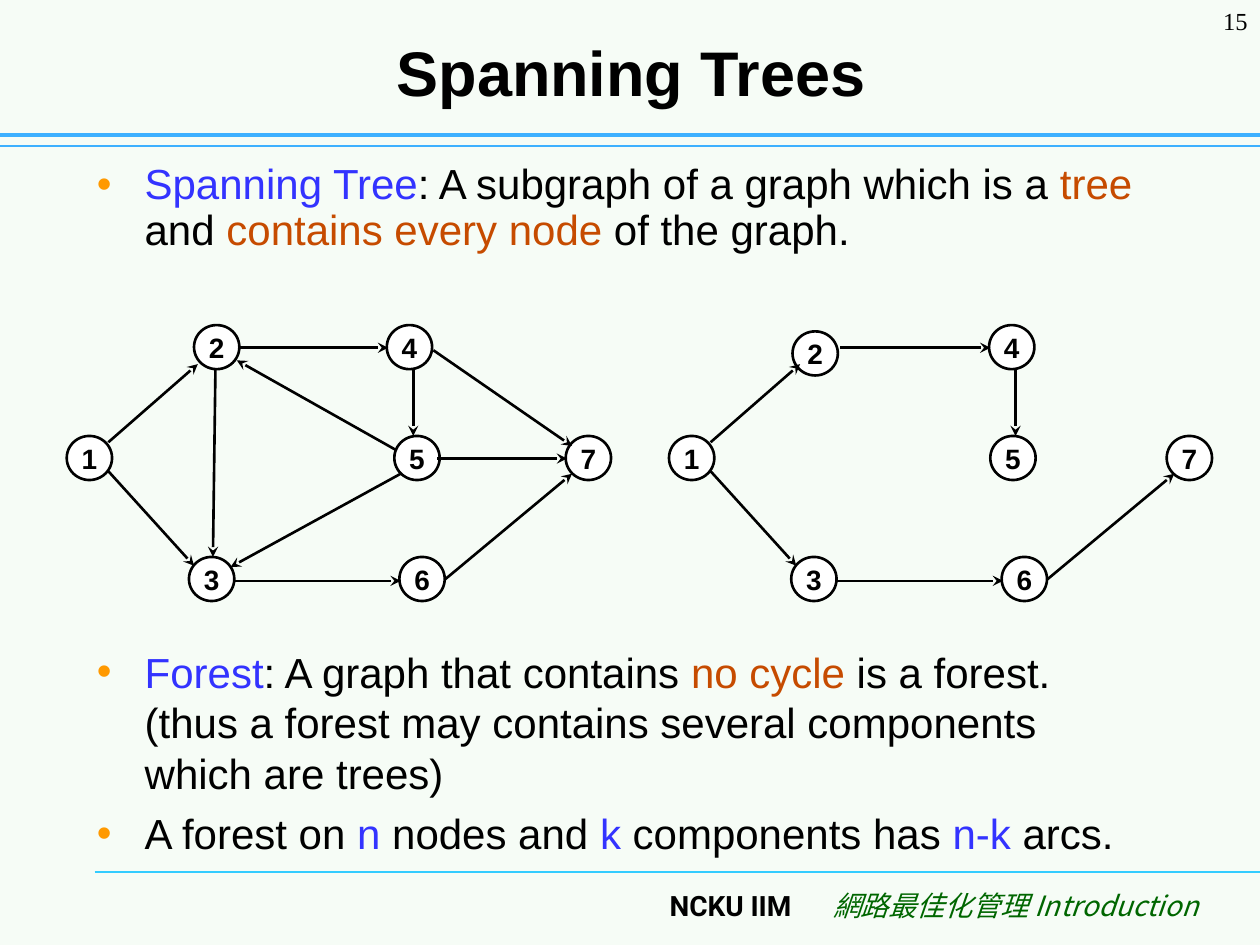
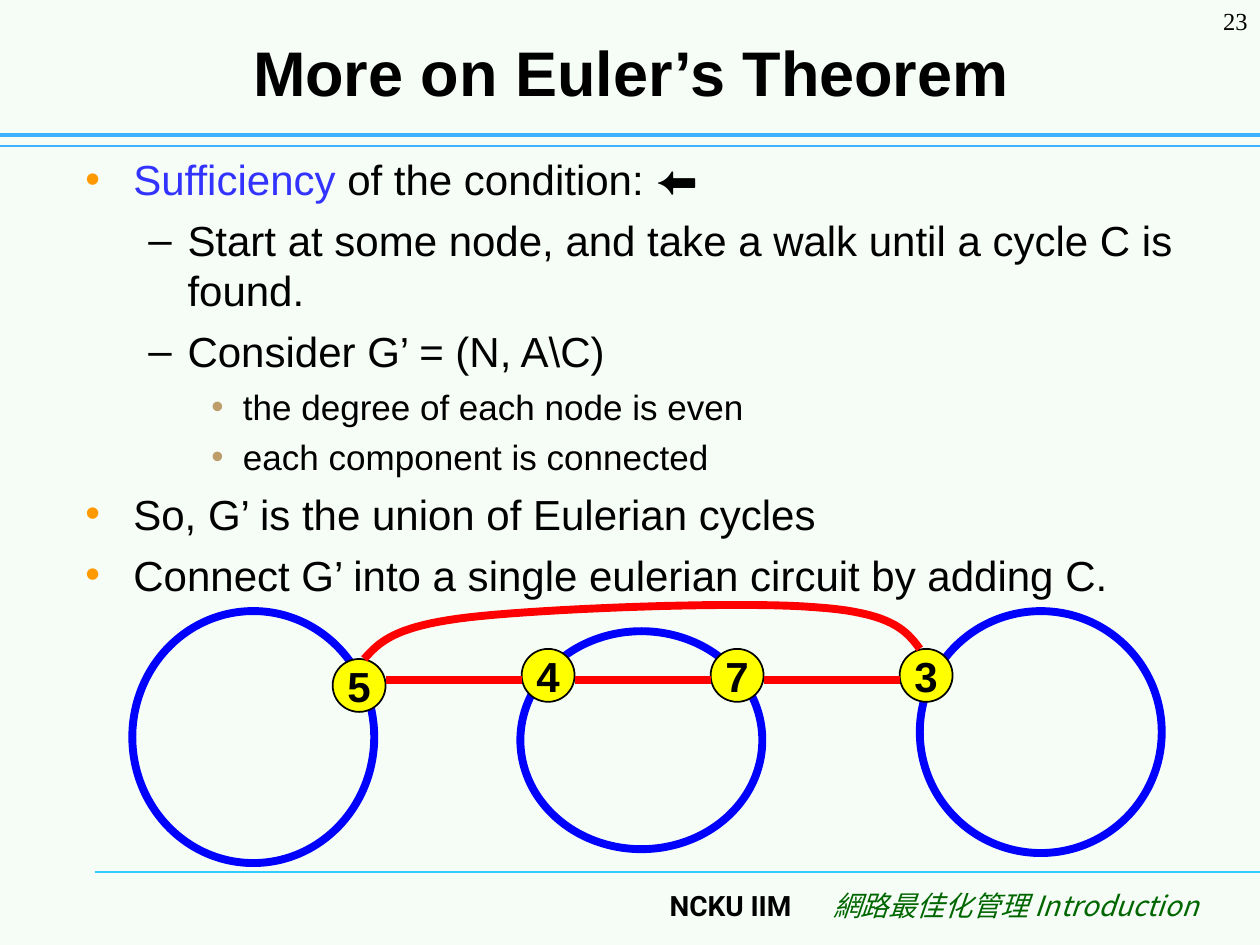
from dataclasses import dataclass, replace

from lxml.etree import SubElement
from pptx import Presentation
from pptx.dml.color import RGBColor
from pptx.enum.shapes import MSO_CONNECTOR, MSO_SHAPE
from pptx.enum.text import MSO_ANCHOR, MSO_AUTO_SIZE, PP_ALIGN
from pptx.oxml.ns import qn
from pptx.util import Inches, Pt


@dataclass(frozen=True)
class Style:
    """Type settings of one kind of text."""

    size: int
    colour: str = "000000"
    font: str = "Arial"
    bold: bool = False
    italic: bool = False


@dataclass(frozen=True)
class Level:
    """Bullet, indents and spacing of one outline level."""

    bullet: str
    bullet_colour: str
    left: float
    hanging: float
    space_before: int
    style: Style


class Theme:
    """Colours, type sizes and line widths of the deck."""

    background = "F6FCF6"
    ink = "000000"
    term = "3333FF"
    emphasis = "C64B00"
    band = "3DB0FF"
    footer_rule = "33CCFF"
    node = "FFFFFF"
    shared_node = "FFFF00"
    cycle = "0000FF"
    joining_cycle = "FF0000"
    thin, band_width, arc_width, cycle_width = 0.75, 2.5, 1.5, 4.5
    title = Style(36, bold=True)
    page_number = Style(14, font="Times New Roman")
    school = Style(16, font="Roboto", bold=True)
    course = Style(16, "006600", "Noto Sans CJK SC", italic=True)
    node_label = Style(16, bold=True)
    shared_label = Style(24, bold=True)
    levels = (
        Level("•", "FF9900", 0.38, 0.38, 6, Style(24)),
        Level("–", "000000", 0.81, 0.31, 6, Style(24)),
        Level("•", "BD9D69", 1.25, 0.25, 5, Style(20)),
    )


NODE_SIZE = (0.36, 0.35)
GRAPH_NODES = {
    1: (0.53, 3.46), 2: (1.54, 2.58), 3: (1.5, 4.42), 4: (3.07, 2.58),
    5: (3.13, 3.46), 6: (3.17, 4.42), 7: (4.49, 3.46),
}
GRAPH_ARCS = {
    (1, 2): (0.86, 3.51, 1.57, 2.89),
    (1, 3): (0.86, 3.74, 1.54, 4.49),
    (2, 3): (1.71, 2.93, 1.69, 4.42),
    (2, 4): (1.89, 2.76, 3.08, 2.76),
    (3, 6): (1.86, 4.61, 3.18, 4.61),
    (6, 7): (3.53, 4.6, 4.54, 3.76),
    (5, 7): (3.47, 3.64, 4.5, 3.64),
    (4, 7): (3.44, 2.78, 4.54, 3.54),
    (4, 5): (3.28, 2.93, 3.28, 3.46),
    (5, 2): (3.14, 3.57, 1.88, 2.86),
    (5, 3): (3.18, 3.76, 1.83, 4.5),
}
TREE_SHIFT = 4.78
TREE_ARCS = [(1, 2), (1, 3), (2, 4), (3, 6), (6, 7), (4, 5)]
TREE_NODES = {
    **{node: (x + TREE_SHIFT, y) for node, (x, y) in GRAPH_NODES.items()},
    2: (6.29, 2.63), 5: (7.86, 3.46), 7: (9.26, 3.46),
}

CYCLES = [(1.05, 4.85, 1.92, 2), (4.13, 5.01, 1.92, 1.73), (7.3, 4.85, 1.92, 1.92)]
SHARED_NODES = [("5", 5.23), ("4", 5.15), ("7", 5.15), ("3", 5.15)]
SHARED_SIZE, SHARED_LEFT, SHARED_PITCH, JOIN_Y = 0.42, 2.64, 1.5, 5.4
RETURN_START = (2.89, 5.23)
RETURN_CURVES = [
    ((3.01, 5.1), (3.12, 4.97), (3.72, 4.9)),
    ((4.32, 4.83), (5.87, 4.77), (6.47, 4.82)),
    ((7.07, 4.86), (7.19, 5), (7.3, 5.15)),
]


def inches(values):
    """Turn numbers into lengths."""
    return [Inches(value) for value in values]


def rgb(colour):
    """Turn a hex string into a colour."""
    return RGBColor.from_string(colour)


def style_run(run, style):
    """Apply a style to one run."""
    font = run.font
    font.size, font.bold, font.italic = Pt(style.size), style.bold, style.italic
    font.color.rgb = rgb(style.colour)
    font.name = style.font
    SubElement(font._element, qn("a:ea")).set("typeface", style.font)


def set_text(frame, text, style, align):
    """Fill a frame with one styled paragraph."""
    frame.text = text
    paragraph = frame.paragraphs[0]
    paragraph.alignment = align
    style_run(paragraph.runs[0], style)


def add_label(slide, box, text, style):
    """Add a right-aligned line of text."""
    frame = slide.shapes.add_textbox(*inches(box)).text_frame
    frame.word_wrap = True
    set_text(frame, text, style, PP_ALIGN.RIGHT)


def set_bullet(paragraph, level):
    """Give a paragraph the bullet and indents of its level."""
    properties = paragraph._p.get_or_add_pPr()
    properties.set("marL", str(Inches(level.left)))
    properties.set("indent", str(-Inches(level.hanging)))
    colour = SubElement(properties, qn("a:buClr"))
    SubElement(colour, qn("a:srgbClr")).set("val", level.bullet_colour)
    SubElement(properties, qn("a:buFont")).set("typeface", level.style.font)
    SubElement(properties, qn("a:buChar")).set("char", level.bullet)


def add_outline(slide, box, items, line_spacing=1.0):
    """Add bulleted text; each item is a level and its coloured parts."""
    frame = slide.shapes.add_textbox(*inches(box)).text_frame
    frame.word_wrap = True
    for index, (depth, *parts) in enumerate(items):
        paragraph = frame.add_paragraph() if index else frame.paragraphs[0]
        level = Theme.levels[depth]
        set_bullet(paragraph, level)
        paragraph.level = depth
        paragraph.line_spacing = line_spacing
        paragraph.space_before = Pt(level.space_before if index else 0)
        for text, colour in parts:
            if text == "\n":
                paragraph.add_line_break()
                continue
            run = paragraph.add_run()
            run.text = text
            style_run(run, replace(level.style, colour=colour))


def add_line(slide, ends, colour, width, arrow=False):
    """Add a straight line, with an arrowhead at its end if asked."""
    line = slide.shapes.add_connector(MSO_CONNECTOR.STRAIGHT, *inches(ends))
    line.line.color.rgb = rgb(colour)
    line.line.width = Pt(width)
    properties = line._element.spPr
    if arrow:
        SubElement(properties.find(qn("a:ln")), qn("a:tailEnd")).set("type", "stealth")
    SubElement(properties, qn("a:effectLst"))


def set_outline(shape, colour, width, fill=None):
    """Set the line and the fill of a shape without a shadow."""
    shape.shadow.inherit = False
    shape.line.color.rgb = rgb(colour)
    shape.line.width = Pt(width)
    if fill:
        shape.fill.solid()
        shape.fill.fore_color.rgb = rgb(fill)
    else:
        shape.fill.background()


def add_ellipse(slide, box, colour, width, fill=None):
    """Add an ellipse."""
    ellipse = slide.shapes.add_shape(MSO_SHAPE.OVAL, *inches(box))
    set_outline(ellipse, colour, width, fill)
    return ellipse


def add_node(slide, box, text, style, fill, width):
    """Add a labelled graph node."""
    frame = add_ellipse(slide, box, Theme.ink, width, fill).text_frame
    frame.margin_left = frame.margin_right = frame.margin_top = frame.margin_bottom = 0
    frame.word_wrap = False
    frame.vertical_anchor = MSO_ANCHOR.MIDDLE
    set_text(frame, text, style, PP_ALIGN.CENTER)


def add_graph(slide, nodes, arcs, shift=0):
    """Add the nodes of a graph and the arcs between them."""
    for node, corner in nodes.items():
        add_node(slide, (*corner, *NODE_SIZE), str(node), Theme.node_label,
                 Theme.node, Theme.arc_width)
    for arc in arcs:
        x1, y1, x2, y2 = GRAPH_ARCS[arc]
        add_line(slide, (x1 + shift, y1, x2 + shift, y2), Theme.ink,
                 Theme.arc_width, arrow=True)


def bezier_points(start, curves, steps=20):
    """Return points along a chain of cubic curves."""
    points = []
    for first, second, end in curves:
        for step in range(1, steps + 1):
            t = step / steps
            u = 1 - t
            points.append(tuple(
                u**3 * a + 3 * u**2 * t * b + 3 * u * t**2 * c + t**3 * d
                for a, b, c, d in zip(start, first, second, end)))
        start = end
    return points


def add_curve(slide, start, curves, colour, width):
    """Add an open curve."""
    builder = slide.shapes.build_freeform(*inches(start))
    points = bezier_points(start, curves)
    builder.add_line_segments([inches(point) for point in points], close=False)
    set_outline(builder.convert_to_shape(), colour, width)


def add_slide(deck, title, number):
    """Add a slide with the shared title, bands and footer."""
    slide = deck.slides.add_slide(deck.slide_layouts.get_by_name("Title Only"))
    heading = slide.shapes.title
    heading.left, heading.top, heading.width, heading.height = inches((0.51, 0.13, 9, 0.87))
    heading.text_frame.vertical_anchor = MSO_ANCHOR.MIDDLE
    heading.text_frame.auto_size = MSO_AUTO_SIZE.NONE
    set_text(heading.text_frame, title, Theme.title, PP_ALIGN.CENTER)
    add_line(slide, (0.75, 6.92, 10, 6.92), Theme.footer_rule, Theme.thin)
    add_line(slide, (0, 1.16, 10, 1.16), Theme.band, Theme.thin)
    add_line(slide, (0, 1.07, 10, 1.07), Theme.band, Theme.band_width)
    add_label(slide, (4.38, 7, 2, 0.5), "NCKU IIM", Theme.school)
    add_label(slide, (6.11, 7, 3.5, 0.5), "網路最佳化管理 Introduction", Theme.course)
    add_label(slide, (9.17, 0, 0.83, 0.5), number, Theme.page_number)
    return slide


def build_spanning_trees(deck):
    """Build the slide on spanning trees and forests."""
    slide = add_slide(deck, "Spanning Trees", "15")
    ink, term, emphasis = Theme.ink, Theme.term, Theme.emphasis
    add_outline(slide, (0.67, 1.25, 8.5, 0.83), [
        (0, ("Spanning Tree", term), (": A subgraph of a graph which is a ", ink),
         ("tree", emphasis), (" and ", ink), ("contains every node", emphasis),
         (" of the graph.", ink)),
    ], line_spacing=0.9)
    add_graph(slide, GRAPH_NODES, GRAPH_ARCS)
    add_graph(slide, TREE_NODES, TREE_ARCS, TREE_SHIFT)
    add_outline(slide, (0.67, 5.08, 8.58, 1.83), [
        (0, ("Forest", term), (": A graph that contains ", ink), ("no cycle", emphasis),
         (" is a forest.", ink), ("\n", ink),
         ("(thus a forest may contains several components which are trees)", ink)),
        (0, ("A forest on ", ink), ("n", term), (" nodes and ", ink), ("k", term),
         (" components has ", ink), ("n-k", term), (" arcs.", ink)),
    ])


def build_euler(deck):
    """Build the slide on the sufficiency of Euler's condition."""
    slide = add_slide(deck, "More on Euler’s Theorem", "23")
    ink = Theme.ink
    for cycle in CYCLES:
        add_ellipse(slide, cycle, Theme.cycle, Theme.cycle_width)
    add_outline(slide, (0.58, 1.17, 9.42, 3.65), [
        (0, ("Sufficiency", Theme.term), (" of the condition: ⬅", ink)),
        (1, ("Start at some node, and take a walk until a cycle C is found.", ink)),
        (1, ("Consider G’ = (N, A\\C)", ink)),
        (2, ("the degree of each node is even", ink)),
        (2, ("each component is connected", ink)),
        (0, ("So, G’ is the union of Eulerian cycles", ink)),
        (0, ("Connect G’ into a single eulerian circuit by adding C.", ink)),
    ])
    for index, (name, top) in enumerate(SHARED_NODES):
        left = SHARED_LEFT + index * SHARED_PITCH
        add_node(slide, (left, top, SHARED_SIZE, SHARED_SIZE), name,
                 Theme.shared_label, Theme.shared_node, 1)
        if index:
            previous_right = left - SHARED_PITCH + SHARED_SIZE
            add_line(slide, (left, JOIN_Y, previous_right, JOIN_Y),
                     Theme.joining_cycle, Theme.cycle_width)
    add_curve(slide, RETURN_START, RETURN_CURVES, Theme.joining_cycle, Theme.cycle_width)


def main():
    """Build and save the deck."""
    deck = Presentation()
    deck.slide_width, deck.slide_height = inches((10, 7.5))
    backdrop = deck.slide_master.background.fill
    backdrop.solid()
    backdrop.fore_color.rgb = rgb(Theme.background)
    build_spanning_trees(deck)
    build_euler(deck)
    deck.save("out.pptx")


if __name__ == "__main__":
    main()
